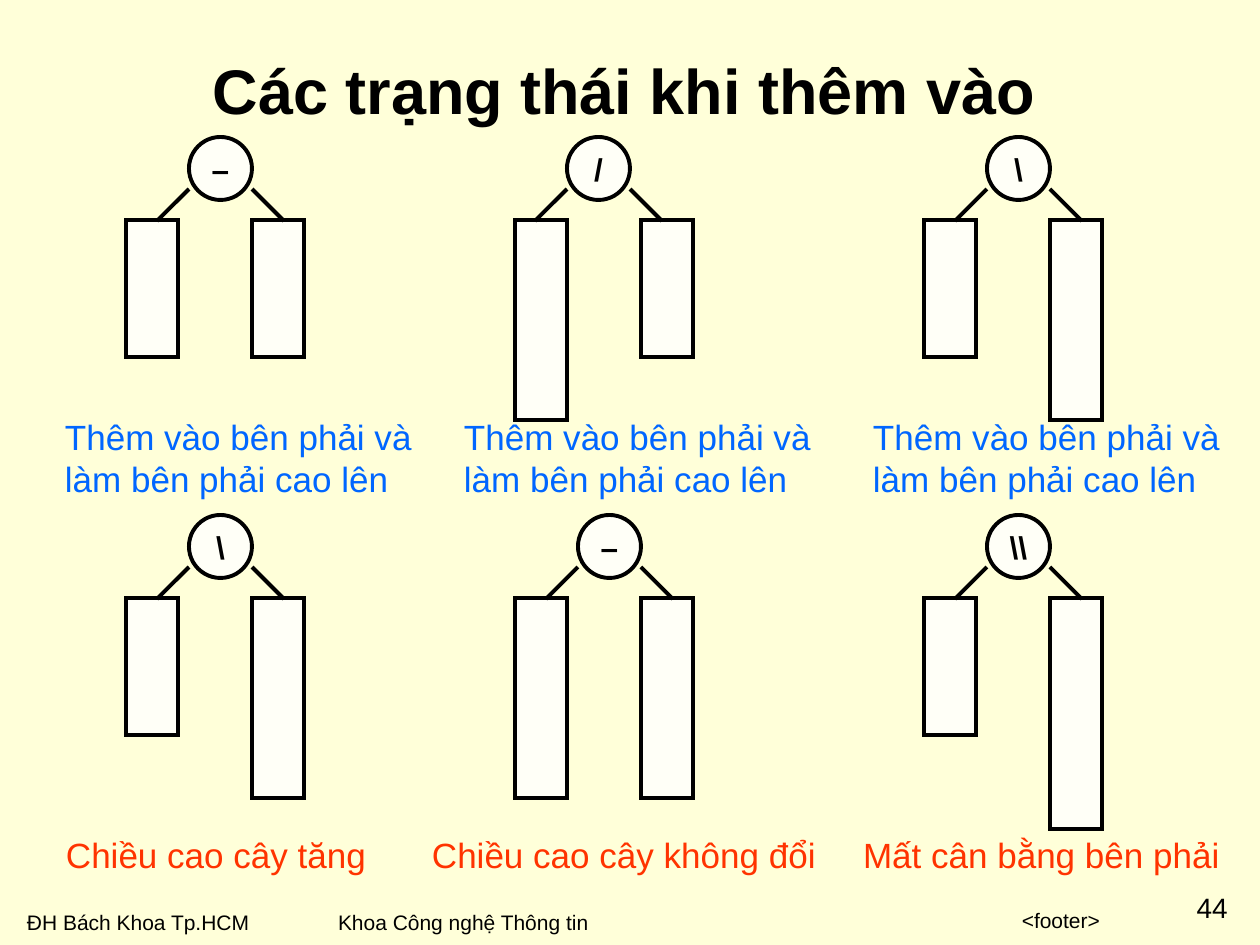
"""Build a slide on the balance states of a tree after an insertion."""
from dataclasses import dataclass
from typing import Any

from lxml.etree import SubElement
from pptx import Presentation
from pptx.dml.color import RGBColor
from pptx.enum.shapes import MSO_CONNECTOR, MSO_SHAPE
from pptx.enum.text import MSO_ANCHOR, MSO_AUTO_SIZE, PP_ALIGN
from pptx.oxml.ns import qn
from pptx.util import Emu, Pt

EMU_PER_PX = 914400 / 126
BLACK, PALE, CREAM = "000000", "FFFFF7", "FFFFD9"
BLUE, RED = "0066FF", "FF3300"
NODE_SIZE, NODE_TOP, ROW_PITCH = 63, 137, 378
BRANCH_TOP, BRANCH_REACH = 189, 32
SUBTREE_TOP, SUBTREE_WIDTH, SUBTREE_PITCH = 220, 52, 126
SHORT, TALL, TALLEST = 137, 200, 231


@dataclass(frozen=True)
class Tree:
    """A root with its balance sign and the heights of its two subtrees."""

    row: int
    sign: str
    node_left: int
    subtree_left: int
    heights: tuple[int, int]


@dataclass(frozen=True)
class Label:
    """A piece of text with its box and format."""

    text: str
    left: int
    top: int
    width: int
    height: int
    size: int = 20
    color: str = BLACK
    align: Any = PP_ALIGN.LEFT
    inset: tuple[int, int] = (13, 6)


TREES = (
    Tree(0, "–", 189, 126, (SHORT, SHORT)),
    Tree(0, "/", 567, 515, (TALL, SHORT)),
    Tree(0, "\\", 987, 924, (SHORT, TALL)),
    Tree(1, "\\", 189, 126, (SHORT, TALL)),
    Tree(1, "–", 578, 515, (TALL, TALL)),
    Tree(1, "\\\\", 987, 924, (SHORT, TALLEST)),
)
ACTION = "Thêm vào bên phải và làm bên phải cao lên"
ACTIONS = tuple(
    Label(ACTION, left, 409, width, 97, color=BLUE)
    for left, width in ((52, 378), (451, 388), (860, 388))
)
RESULTS = tuple(
    Label(text, left, 827, width, 55, color=RED)
    for text, left, width in (
        ("Chiều cao cây tăng", 53, 360),
        ("Chiều cao cây không đổi", 419, 430),
        ("Mất cân bằng bên phải", 850, 410),
    )
)
FOOTERS = (
    Label("ĐH Bách Khoa Tp.HCM", 14, 904, 290, 38, 12),
    Label("Khoa Công nghệ Thông tin", 325, 904, 310, 38, 12),
    Label("<footer>", 399, 902, 714, 38, 12, align=PP_ALIGN.RIGHT),
    Label("44", 1185, 891, 54, 34, 16, align=PP_ALIGN.CENTER, inset=(0, 0)),
)


def px(*lengths: int) -> list[Emu]:
    """Turn pixel lengths into EMU."""
    return [Emu(round(length * EMU_PER_PX)) for length in lengths]


def rgb(value: str) -> RGBColor:
    """Turn a hex string into a colour."""
    return RGBColor.from_string(value)


def apply(target: Any, values: dict[str, Any]) -> None:
    """Set each named attribute of the target."""
    for name, value in values.items():
        setattr(target, name, value)


def write(holder: Any, text: str, size: int, color: str, bold: bool, align: Any,
          frame_values: dict[str, Any]) -> None:
    """Put formatted text into a shape."""
    frame = holder.text_frame
    frame.text = text
    apply(frame, frame_values)
    paragraph = frame.paragraphs[0]
    paragraph.alignment = align
    font = paragraph.runs[0].font
    apply(font, {"name": "Arial", "size": Pt(size), "bold": bold})
    font.color.rgb = rgb(color)


def add_label(slide: Any, label: Label) -> None:
    """Draw a label as a text box."""
    box = slide.shapes.add_textbox(*px(label.left, label.top, label.width, label.height))
    side, edge = px(*label.inset)
    write(box, label.text, label.size, label.color, False, label.align, {
        "word_wrap": True, "auto_size": MSO_AUTO_SIZE.SHAPE_TO_FIT_TEXT,
        "margin_left": side, "margin_right": side,
        "margin_top": edge, "margin_bottom": edge,
    })


def outline(part: Any) -> None:
    """Give a shape or branch the common line with sharp corners."""
    part.line.color.rgb = rgb(BLACK)
    part.line.width = Pt(2.25)
    SubElement(part.element.spPr.find(qn("a:ln")), qn("a:miter"), lim="800000")


def add_block(group: Any, kind: Any, *bounds: int) -> Any:
    """Draw an outlined pale shape."""
    block = group.shapes.add_shape(kind, *px(*bounds))
    block.shadow.inherit = False
    block.fill.solid()
    block.fill.fore_color.rgb = rgb(PALE)
    outline(block)
    return block


def add_branch(group: Any, x: int, y: int, direction: int) -> None:
    """Draw a slanting branch from the root to a subtree."""
    ends = px(x, y, x + direction * BRANCH_REACH, y + BRANCH_REACH)
    branch = group.shapes.add_connector(MSO_CONNECTOR.STRAIGHT, *ends)
    outline(branch)
    SubElement(branch.element.spPr, qn("a:effectLst"))


def add_tree(slide: Any, tree: Tree) -> None:
    """Draw a root, its branches and its subtrees as one group."""
    group = slide.shapes.add_group_shape()
    shift = tree.row * ROW_PITCH
    node = add_block(group, MSO_SHAPE.OVAL, tree.node_left, NODE_TOP + shift,
                     NODE_SIZE, NODE_SIZE)
    write(node, tree.sign, 18, BLACK, True, PP_ALIGN.CENTER,
          {"word_wrap": False, "vertical_anchor": MSO_ANCHOR.MIDDLE})
    for side, height in enumerate(tree.heights):
        add_block(group, MSO_SHAPE.RECTANGLE, tree.subtree_left + side * SUBTREE_PITCH,
                  SUBTREE_TOP + shift, SUBTREE_WIDTH, height)
        add_branch(group, tree.node_left + side * NODE_SIZE, BRANCH_TOP + shift,
                   2 * side - 1)


def main() -> None:
    """Assemble and save the slide."""
    deck = Presentation()
    apply(deck, dict(zip(("slide_width", "slide_height"), px(1260, 945))))
    slide = deck.slides.add_slide(deck.slide_layouts[5])
    slide.background.fill.solid()
    slide.background.fill.fore_color.rgb = rgb(CREAM)
    title = slide.shapes.title
    apply(title, dict(zip(("left", "top", "width", "height"), px(115, 10, 1018, 158))))
    write(title, "Các trạng thái khi thêm vào", 36, BLACK, True, PP_ALIGN.CENTER, {
        "word_wrap": True, "auto_size": MSO_AUTO_SIZE.NONE,
        "vertical_anchor": MSO_ANCHOR.MIDDLE,
    })
    for tree in TREES:
        add_tree(slide, tree)
    for label in ACTIONS + RESULTS + FOOTERS:
        add_label(slide, label)
    deck.save("out.pptx")


if __name__ == "__main__":
    main()
